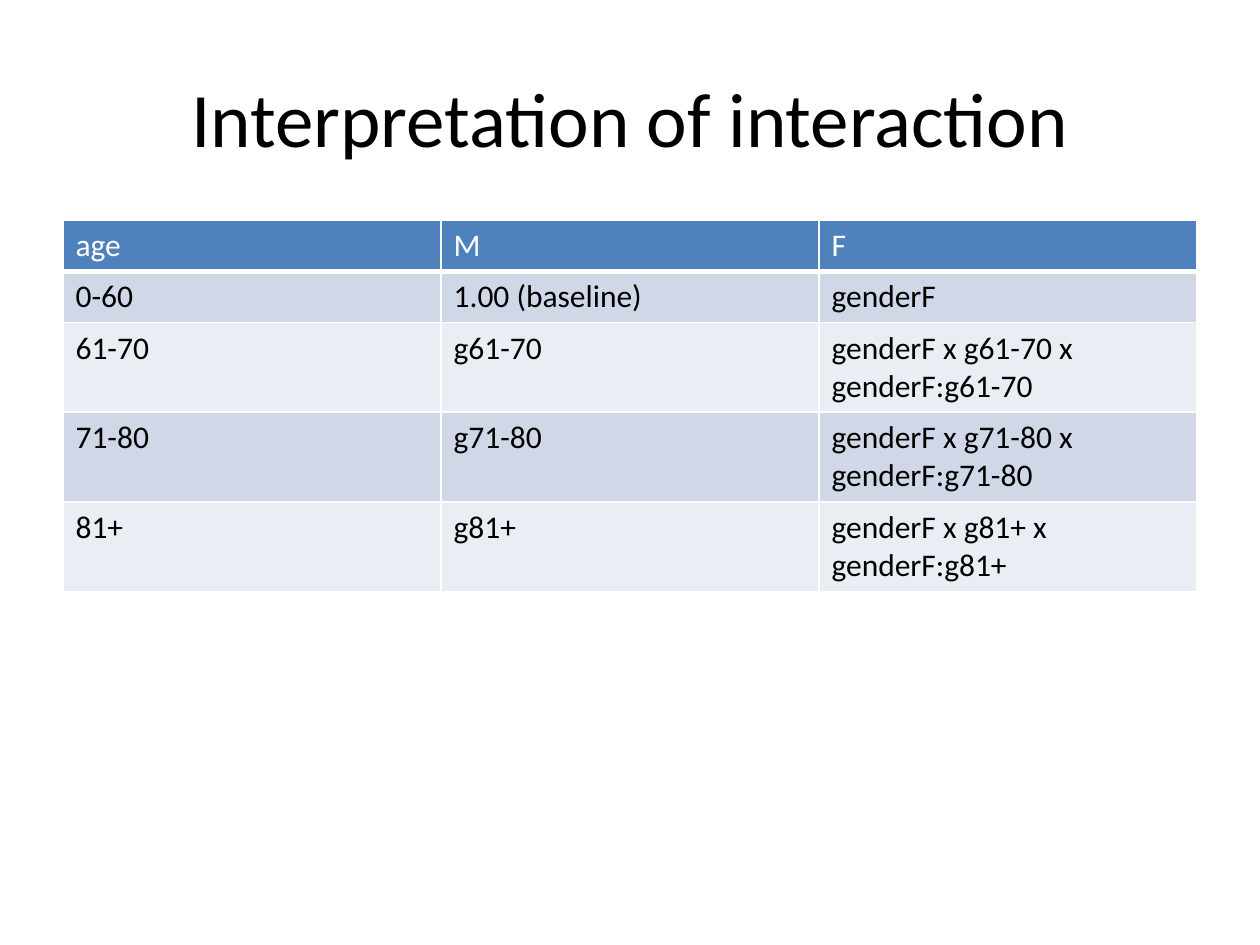
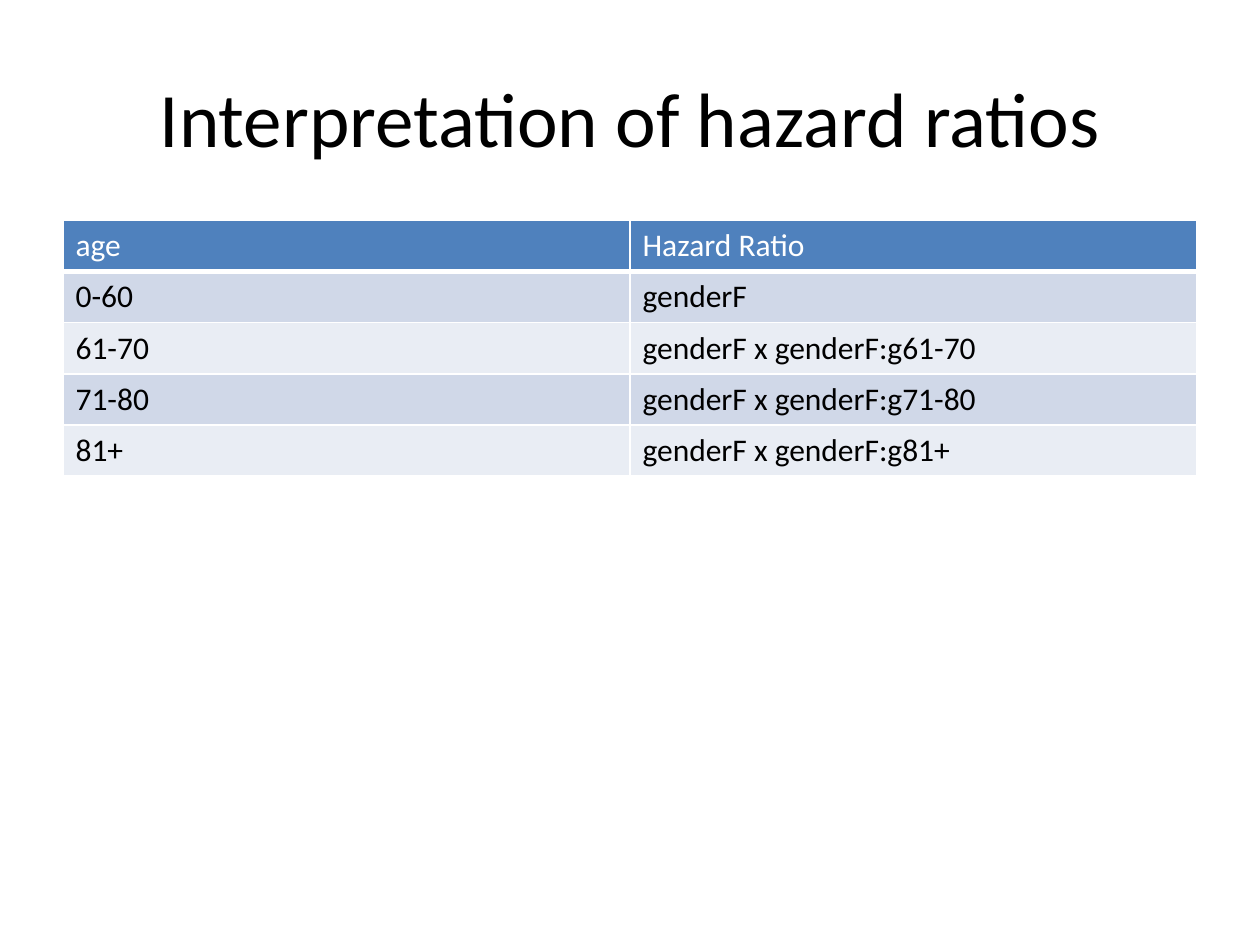
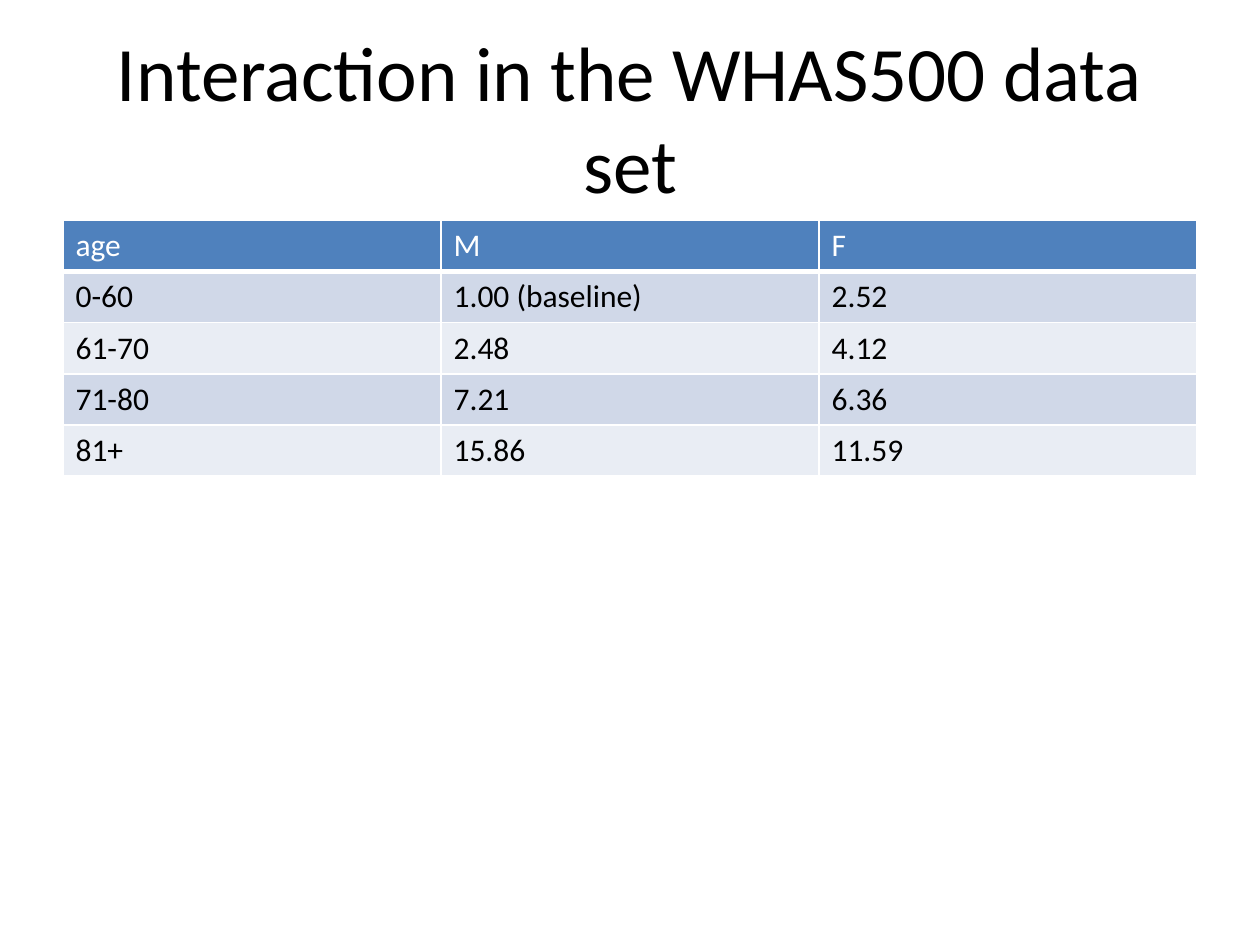
import pptx
import pptx.dml.color
import pptx.enum.text
import pptx.oxml.ns
import pptx.util
from lxml import etree

COLOURS = {
    "title": "000000",
    "header": "4F81BD",
    "header_text": "FFFFFF",
    "body_text": "000000",
    "odd_row": "D0D8E8",
    "even_row": "E9EDF4",
    "border": "FFFFFF",
}
FONT = "Calibri"
TITLE_SIZE = 44
TABLE_SIZE = 18
TITLE_BOX = (0.5, 0.3, 9, 1.25)
TABLE_BOX = (0.5, 1.75, 9, 4.94)

AGES = ["0-60", "61-70", "71-80", "81+"]
GROUPS = [f"g{age}" for age in AGES[1:]]
MALE_BASELINE = "1.00 (baseline)"

SLIDES = [
    (
        "Interpretation of interaction",
        {
            "age": AGES,
            "M": [MALE_BASELINE, *GROUPS],
            "F": ["genderF"] + [f"genderF x {group} x genderF:{group}" for group in GROUPS],
        },
    ),
    (
        "Interpretation of hazard ratios",
        {
            "age": AGES,
            "Hazard Ratio": ["genderF"] + [f"genderF x genderF:{group}" for group in GROUPS],
        },
    ),
    (
        "Interaction in the WHAS500 data set",
        {
            "age": AGES,
            "M": [MALE_BASELINE, "2.48", "7.21", "15.86"],
            "F": ["2.52", "4.12", "6.36", "11.59"],
        },
    ),
]


def rgb(name):
    return pptx.dml.color.RGBColor.from_string(COLOURS[name])


def add_span(para, text, size, colour):
    span = para.add_run()
    span.text = text
    span.font.name = FONT
    span.font.size = pptx.util.Pt(size)
    span.font.bold = False
    span.font.color.rgb = rgb(colour)


def add_borders(cell, bottom_width):
    qn = pptx.oxml.ns.qn
    properties = cell._tc.get_or_add_tcPr()
    for side, width in (("L", 1), ("R", 1), ("T", 1), ("B", bottom_width)):
        line = etree.SubElement(properties, qn(f"a:ln{side}"), w=str(pptx.util.Pt(width)))
        fill = etree.SubElement(line, qn("a:solidFill"))
        etree.SubElement(fill, qn("a:srgbClr"), val=COLOURS["border"])


def fill_title(page, text, box):
    title = page.shapes.title
    title.left, title.top, title.width, title.height = map(pptx.util.Inches, box)
    frame = title.text_frame
    frame.word_wrap = True
    frame.vertical_anchor = pptx.enum.text.MSO_ANCHOR.MIDDLE
    para = frame.paragraphs[0]
    para.alignment = pptx.enum.text.PP_ALIGN.CENTER
    add_span(para, text, TITLE_SIZE, "title")


def fill_cell(cell, text, row):
    if row == 0:
        fill, text_colour, bottom_width = "header", "header_text", 3
    else:
        fill = "odd_row" if row % 2 else "even_row"
        text_colour, bottom_width = "body_text", 1
    add_borders(cell, bottom_width)
    cell.fill.solid()
    cell.fill.fore_color.rgb = rgb(fill)
    add_span(cell.text_frame.paragraphs[0], text, TABLE_SIZE, text_colour)


def add_age_table(page, columns, box):
    left, top, width, height = map(pptx.util.Inches, box)
    row_count = len(AGES) + 1
    holder = page.shapes.add_table(row_count, len(columns), left, top, width, height)
    table = holder.table
    for row in table.rows:
        row.height = 0
    holder.height = height
    for column, (heading, values) in enumerate(columns.items()):
        table.columns[column].width = width // len(columns)
        for row, text in enumerate([heading, *values]):
            fill_cell(table.cell(row, column), text, row)


def add_table_slide(deck, title, columns):
    page = deck.slides.add_slide(deck.slide_layouts.get_by_name("Title Only"))
    fill_title(page, title, TITLE_BOX)
    add_age_table(page, columns, TABLE_BOX)


deck = pptx.Presentation()
deck.slide_width = pptx.util.Inches(10)
deck.slide_height = pptx.util.Inches(7.5)
for title, columns in SLIDES:
    add_table_slide(deck, title, columns)
deck.save("out.pptx")
